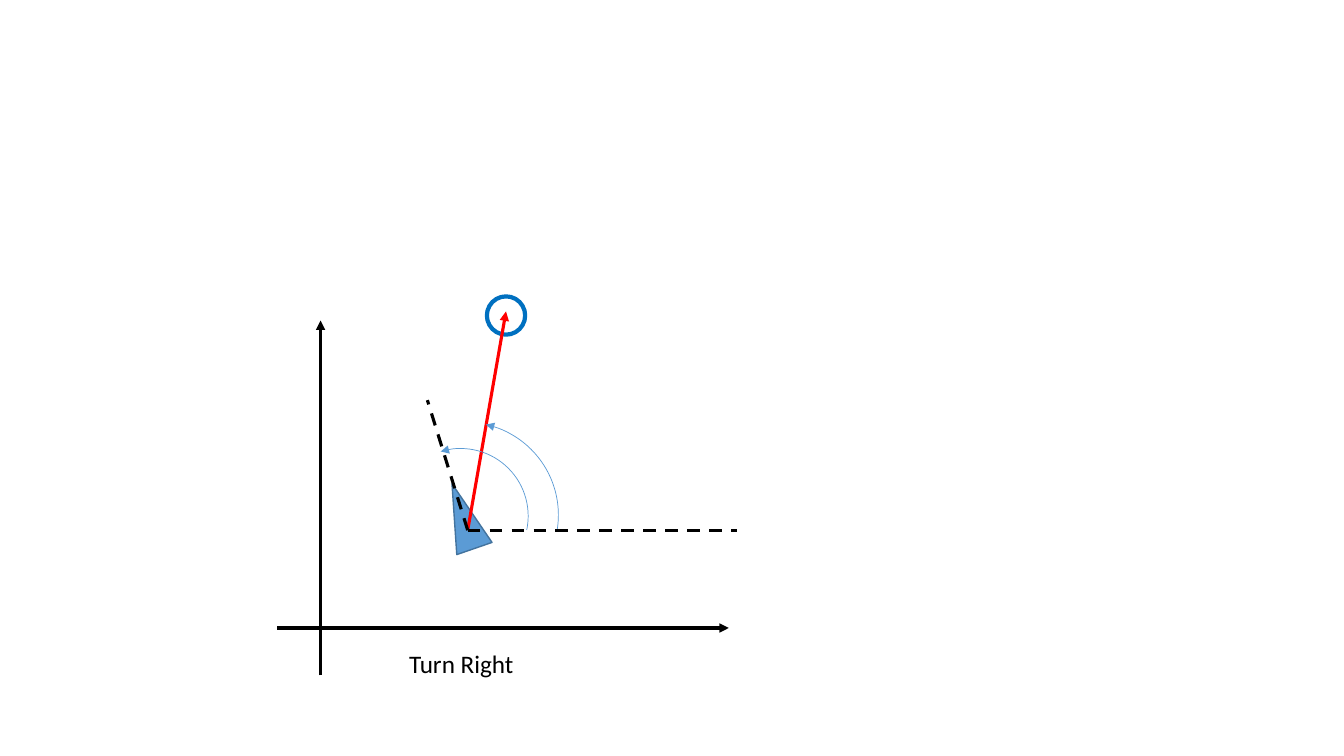
"""Build a slide that shows a heading, a target and the right turn between them."""
from pptx import Presentation
from pptx.dml.color import RGBColor
from pptx.enum.dml import MSO_LINE
from pptx.enum.shapes import MSO_CONNECTOR, MSO_SHAPE
from pptx.enum.text import MSO_AUTO_SIZE
from pptx.oxml.ns import qn
from pptx.util import Inches, Pt
from lxml.etree import SubElement

BLACK = RGBColor(0x00, 0x00, 0x00)
RED = RGBColor(0xFF, 0x00, 0x00)
RING = RGBColor(0x00, 0x70, 0xC0)
BLUE = RGBColor(0x5B, 0x9B, 0xD5)
EDGE = RGBColor(0x43, 0x73, 0x9E)

COLS, ROWS = 13.333, 7.5
PIVOT, TARGET = (4.64, 5.26), (5.02, 3.13)
AXES = [((2.75, 6.23), (7.23, 6.23)), ((3.18, 6.7), (3.18, 3.18))]
AIM = (PIVOT, (5.02, 3.09))
GUIDES = [(PIVOT, (7.31, 5.26)), (PIVOT, (4.24, 3.97))]
SWEEPS = [((4.62, 5.11), 1.84, 282.65, 9.61), ((4.57, 5.12), 1.34, 252.86, 11.88)]
ROBOT = ((4.595, 5.12), 0.37, 0.68, 340.9)
LABEL = ("Turn Right", 3.96, 6.38, 1.25, 0.4)

deck = Presentation()
deck.slide_width, deck.slide_height = Inches(COLS), Inches(ROWS)
slide = deck.slides.add_slide(deck.slide_layouts[6])
cell = deck.slide_width / COLS


def grid(*spans):
    return [round(span * cell) for span in spans]


def ink(item, color, width):
    item.line.color.rgb = color
    item.line.width = Pt(width)


def tip(item, end):
    SubElement(item.line._get_or_add_ln(), qn("a:" + end), type="triangle")


def ray(ends, color, dash=False):
    start, stop = ends
    line = slide.shapes.add_connector(MSO_CONNECTOR.STRAIGHT, *grid(*start, *stop))
    ink(line, color, 2.25)
    if dash:
        line.line.dash_style = MSO_LINE.DASH
    else:
        tip(line, "tailEnd")
    SubElement(line._element.spPr, qn("a:effectLst"))


def form(kind, mid, wide, high, color, width, fill=None):
    x, y = mid
    item = slide.shapes.add_shape(kind, *grid(x - wide / 2, y - high / 2, wide, high))
    item.shadow.inherit = False
    if fill is None:
        item.fill.background()
    else:
        item.fill.solid()
        item.fill.fore_color.rgb = fill
    ink(item, color, width)
    return item


for axis in AXES:
    ray(axis, BLACK)

form(MSO_SHAPE.OVAL, TARGET, 0.38, 0.38, RING, 3)
mid, wide, high, turn = ROBOT
robot = form(MSO_SHAPE.ISOSCELES_TRIANGLE, mid, wide, high, EDGE, 1, BLUE)
robot.rotation = turn
ray(AIM, RED)

for mid, size, start, stop in SWEEPS:
    arc = form(MSO_SHAPE.ARC, mid, size, size, BLUE, 0.5)
    arc.adjustments[0], arc.adjustments[1] = start * 0.6, stop * 0.6
    tip(arc, "headEnd")

for guide in GUIDES:
    ray(guide, BLACK, dash=True)

words, *place = LABEL
label = slide.shapes.add_textbox(*grid(*place))
frame = label.text_frame
frame.word_wrap = False
frame.auto_size = MSO_AUTO_SIZE.SHAPE_TO_FIT_TEXT
frame.text = words
font = frame.paragraphs[0].font
font.name, font.size, font.color.rgb = "Calibri", Pt(18), BLACK

deck.save("out.pptx")
